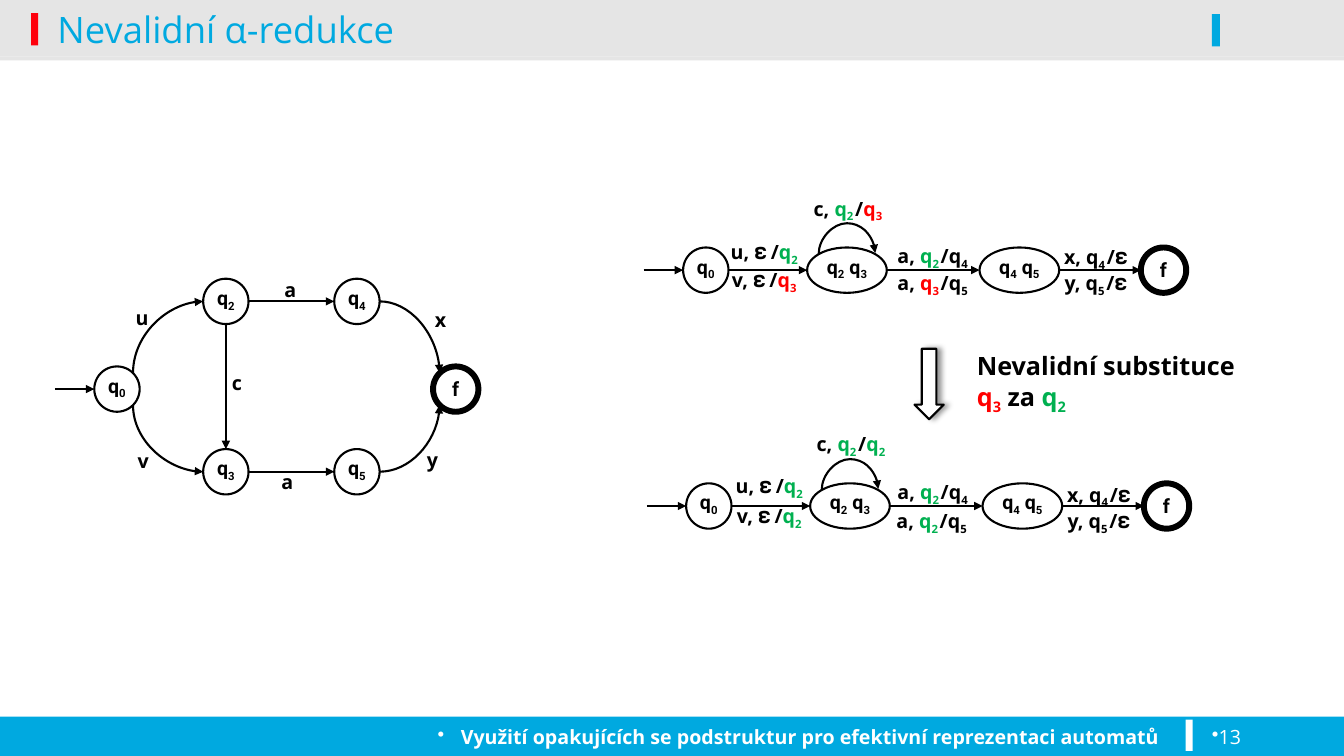
from dataclasses import dataclass
from itertools import groupby, pairwise

from lxml.etree import SubElement
from pptx import Presentation
from pptx.dml.color import RGBColor
from pptx.enum.shapes import MSO_CONNECTOR, MSO_SHAPE
from pptx.enum.text import MSO_ANCHOR, MSO_AUTO_SIZE, PP_ALIGN
from pptx.oxml.ns import qn
from pptx.util import Inches, Pt


@dataclass(frozen=True)
class Theme:
    """Colours, fonts and type sizes of the slide."""
    blue: str = "00A9E0"
    red_bar: str = "FE000C"
    grey: str = "E5E5E5"
    white: str = "FFFFFF"
    black: str = "000000"
    green: str = "00B050"
    red: str = "FF0000"
    font: str = "Open Sans"
    node_font: str = "Roboto"
    title: int = 26
    note: int = 18
    body: int = 14
    epsilon: int = 16


THEME = Theme()

TITLE = "Nevalidní α-redukce"
FOOTER = "Využití opakujících se podstruktur pro efektivní reprezentaci automatů"
PAGE = "13"

# Markup: digits are subscripts, "|" splits pieces, "+" is green, "-" is red,
# "_" and "'" are narrow spaces.
NOTE = "Nevalidní substituce |-q3| za |+q2"
PIECE_COLORS = {"+": THEME.green, "-": THEME.red}
CHAR_STYLES = {"𝛆": (THEME.epsilon, False), "_": (10, False), "'": (8, True)}
CHAR_STYLES.update({digit: (None, True) for digit in "0123456789"})

BARS = [  # left, top, width, height, colour
    (0, 7.11, 13.33, 0.39, THEME.blue),
    (0, 0.56, 13.33, 0.04, THEME.grey),
    (0, 0, 13.33, 0.56, THEME.grey),
    (0.31, 0.13, 0.07, 0.32, THEME.red_bar),
    (11.76, 7.14, 0.07, 0.31, THEME.white),
    (12.02, 0.14, 0.08, 0.32, THEME.blue),
]

# Nodes by centre; labels by centre line and top
AUTOMATON = {"q0": (1.16, 3.86), "q2": (2.24, 2.99), "q4": (3.54, 2.99),
             "q3": (2.24, 4.68), "q5": (3.54, 4.68), "f": (4.52, 3.86)}
AUTOMATON_LABELS = [
    ("u", 1.41, 2.99), ("v", 1.42, 4.40), ("x", 4.37, 3.01), ("y", 4.29, 4.39),
    ("a", 2.88, 2.71), ("a", 2.85, 4.61), ("c", 2.35, 3.63),
]
CHAIN = {"q0": 7.0, "q2 q3": 8.4, "q4 q5": 10.11, "f": 11.54}
CHAINS = [  # shift to the right, centre height, labels
    (0, 2.68, [
        ("c, |+q2|'/|-q3", 8.41, 1.90),
        ("u, 𝛆_/|+q2", 7.58, 2.30), ("v, 𝛆_/|-q3", 7.58, 2.58),
        ("a, |+q2'|/q4", 9.25, 2.37), ("a, |-q3|'/q5", 9.25, 2.64),
        ("x, q4'/𝛆", 10.87, 2.35), ("y, q5'/𝛆", 10.87, 2.61)]),
    (0.03, 5.02, [
        ("c, |+q2|'/|+q2", 8.44, 4.24),
        ("u, 𝛆_/|+q2", 7.63, 4.63), ("v, 𝛆_/|+q2", 7.63, 4.92),
        ("a, |+q2'|/q4", 9.25, 4.71), ("a, |+q2'|/q5", 9.24, 5.00),
        ("x, q4'/𝛆", 10.90, 4.71), ("y, q5'/𝛆", 10.90, 4.97)]),
]
NODE, WIDE_NODE = 0.45, 0.79
START_LENGTH, LOOP_RISE = 0.39, 0.31
DIAGONAL = 0.71  # a 45 degree point, as a share of the radius

deck = Presentation()
deck.slide_width, deck.slide_height = Inches(13.33), Inches(7.5)
slide = deck.slides.add_slide(deck.slide_layouts[5])
shapes = slide.shapes


def rgb(color):
    """Turn a hex string into a colour."""
    return RGBColor.from_string(color)


def style(paragraph, size, color, bold=True, font=THEME.font, align=PP_ALIGN.LEFT):
    """Set the font and alignment of a whole paragraph."""
    paragraph.alignment = align
    paragraph.font.name, paragraph.font.size = font, Pt(size)
    paragraph.font.bold, paragraph.font.color.rgb = bold, rgb(color)


def write(paragraph, markup):
    """Add the runs that the markup describes."""
    for piece in markup.split("|"):
        color = PIECE_COLORS.get(piece[0])
        for look, chars in groupby(piece[1:] if color else piece, CHAR_STYLES.get):
            run = paragraph.add_run()
            run.text = "".join(chars).replace("_", " ").replace("'", " ")
            size, subscript = look or (None, False)
            if size:
                run.font.size = Pt(size)
            if color:
                run.font.color.rgb = rgb(color)
            if subscript:
                run.font._element.set("baseline", "-25000")


def add_shape(kind, left, top, width, height, fill, line=None):
    """Add a flat preset shape, outlined in black if a line width is given."""
    shape = shapes.add_shape(kind, *map(Inches, (left, top, width, height)))
    shape.shadow.inherit = False
    shape.fill.solid()
    shape.fill.fore_color.rgb = rgb(fill)
    if line:
        shape.line.color.rgb, shape.line.width = rgb(THEME.black), Pt(line)
    else:
        shape.line.fill.background()
    return shape


def add_text(left, top, width, height):
    """Add a wrapping text box and return its frame."""
    frame = shapes.add_textbox(*map(Inches, (left, top, width, height))).text_frame
    frame.word_wrap = True
    return frame


def add_label(markup, center, top):
    """Add an edge label centred on a given x."""
    width = 0.8 if len(markup) == 1 else 1.07
    frame = add_text(center - width / 2, top, width, 0.37 if "𝛆" in markup else 0.34)
    frame.auto_size = MSO_AUTO_SIZE.SHAPE_TO_FIT_TEXT
    style(frame.paragraphs[0], THEME.body, THEME.black, align=PP_ALIGN.CENTER)
    write(frame.paragraphs[0], markup)


def node_width(name):
    """Give the width of a node: merged states are wider."""
    return WIDE_NODE if " " in name else NODE


def add_node(name, x, y):
    """Add a state, with a heavy outline if it is the final one."""
    width = node_width(name)
    node = add_shape(MSO_SHAPE.OVAL, x - width / 2, y - NODE / 2, width, NODE,
                     THEME.white, 4.25 if name == "f" else 1.5)
    frame = node.text_frame
    frame.margin_left = frame.margin_right = 0
    frame.vertical_anchor = MSO_ANCHOR.BOTTOM
    style(frame.paragraphs[0], THEME.body, THEME.black,
          font=THEME.node_font, align=PP_ALIGN.CENTER)
    write(frame.paragraphs[0], name)


def add_edge(begin, end, kind="curvedConnector3", upright=False, bend=None):
    """Add an arrow; an upright one leaves its begin point vertically."""
    (x1, y1), (x2, y2) = begin, end
    if upright:  # laid out lying down, then turned by 90 degrees
        x, y, dx, dy = (x1 + x2) / 2, (y1 + y2) / 2, y2 - y1, x1 - x2
        x1, y1, x2, y2 = x - dx / 2, y - dy / 2, x + dx / 2, y + dy / 2
    edge = shapes.add_connector(MSO_CONNECTOR.CURVE, *map(Inches, (x1, y1, x2, y2)))
    edge.line.color.rgb, edge.line.width = rgb(THEME.black), Pt(1.5)
    properties = edge._element.spPr
    geometry = properties.find(qn("a:prstGeom"))
    geometry.set("prst", kind)
    if upright:
        properties.find(qn("a:xfrm")).set("rot", "5400000")
    if bend:
        SubElement(geometry.find(qn("a:avLst")), qn("a:gd"), name="adj1",
                   fmla=f"val {round(bend * 100000)}")
    SubElement(properties.find(qn("a:ln")), qn("a:tailEnd"), type="triangle")
    SubElement(properties, qn("a:effectLst"))


def add_start(x, y):
    """Add the arrow that enters the initial state."""
    add_edge((x - NODE / 2 - START_LENGTH, y), (x - NODE / 2, y), "line")


def add_automaton():
    """Draw the automaton on the left."""
    for name, center in AUTOMATON.items():
        add_node(name, *center)
    radius, slant = NODE / 2, NODE / 2 * DIAGONAL
    (x0, y0), (xf, yf) = AUTOMATON["q0"], AUTOMATON["f"]
    add_start(x0, y0)
    for first, second, side in (("q2", "q4", -1), ("q3", "q5", 1)):
        (x1, y), (x2, _) = AUTOMATON[first], AUTOMATON[second]
        arc = "curvedConnector2"
        add_edge((x0 + slant, y0 + side * slant), (x1 - radius, y), arc, upright=True)
        add_edge((x1 + radius, y), (x2 - radius, y))
        add_edge((x2 + radius, y), (xf - slant, yf + side * slant), arc)
    (x, top), (_, bottom) = AUTOMATON["q2"], AUTOMATON["q3"]
    add_edge((x, top + radius), (x, bottom - radius), upright=True)
    for label in AUTOMATON_LABELS:
        add_label(*label)


def add_chain(shift, y, labels):
    """Draw one reduced automaton as a row of states."""
    centers = {name: x + shift for name, x in CHAIN.items()}
    for name, x in centers.items():
        add_node(name, x, y)
    add_start(centers["q0"], y)
    for (name, x), (next_name, next_x) in pairwise(centers.items()):
        add_edge((x + node_width(name) / 2, y), (next_x - node_width(next_name) / 2, y))
    x, reach = centers["q2 q3"], WIDE_NODE / 2 * DIAGONAL
    foot, drop = y - NODE / 2 * DIAGONAL, 0.01
    add_edge((x - reach, foot), (x + reach, foot - drop), upright=True,
             bend=LOOP_RISE / drop)
    for label in labels:
        add_label(*label)


def add_footer(text, box, bold, align, hang):
    """Add a bulleted line to the bottom bar."""
    paragraph = add_text(*box).paragraphs[0]
    paragraph.text = text
    style(paragraph, THEME.body, THEME.white, bold, align=align)
    properties = paragraph._p.get_or_add_pPr()
    properties.set("marL", str(Inches(hang)))
    properties.set("indent", str(-Inches(hang)))
    bullet = SubElement(properties, qn("a:buChar"), char="•")
    properties.insert(0, bullet)


for *box, color in BARS:
    add_shape(MSO_SHAPE.RECTANGLE, *box, color)
add_footer(FOOTER, (0.16, 7.14, 11.44, 0.36), True, PP_ALIGN.RIGHT, 0.23)
add_footer(PAGE, (11.92, 7.14, 1.21, 0.36), False, PP_ALIGN.LEFT, 0)

title = shapes.title
title.left, title.top, title.width, title.height = map(Inches, (0.47, -0.11, 11.5, 0.79))
title.text_frame.text = TITLE
title.text_frame.vertical_anchor = MSO_ANCHOR.MIDDLE
title.text_frame.auto_size = MSO_AUTO_SIZE.NONE
style(title.text_frame.paragraphs[0], THEME.title, THEME.blue, bold=False)
shapes._spTree.append(title._element)  # in front of the header bar

add_automaton()
for chain in CHAINS:
    add_chain(*chain)

arrow = add_shape(MSO_SHAPE.DOWN_ARROW, 9.07, 3.46, 0.29, 0.7, THEME.white, 1.5)
shadow = SubElement(arrow._element.spPr.find(qn("a:effectLst")), qn("a:outerShdw"),
                    blurRad=str(Pt(4)), dist=str(Pt(3)), dir="0")
shade = SubElement(shadow, qn("a:srgbClr"), val=THEME.black)
SubElement(shade, qn("a:alpha"), val="40000")

note = add_text(9.59, 3.43, 2.96, 0.71)
style(note.paragraphs[0], THEME.note, THEME.black)
write(note.paragraphs[0], NOTE)

deck.save("out.pptx")
